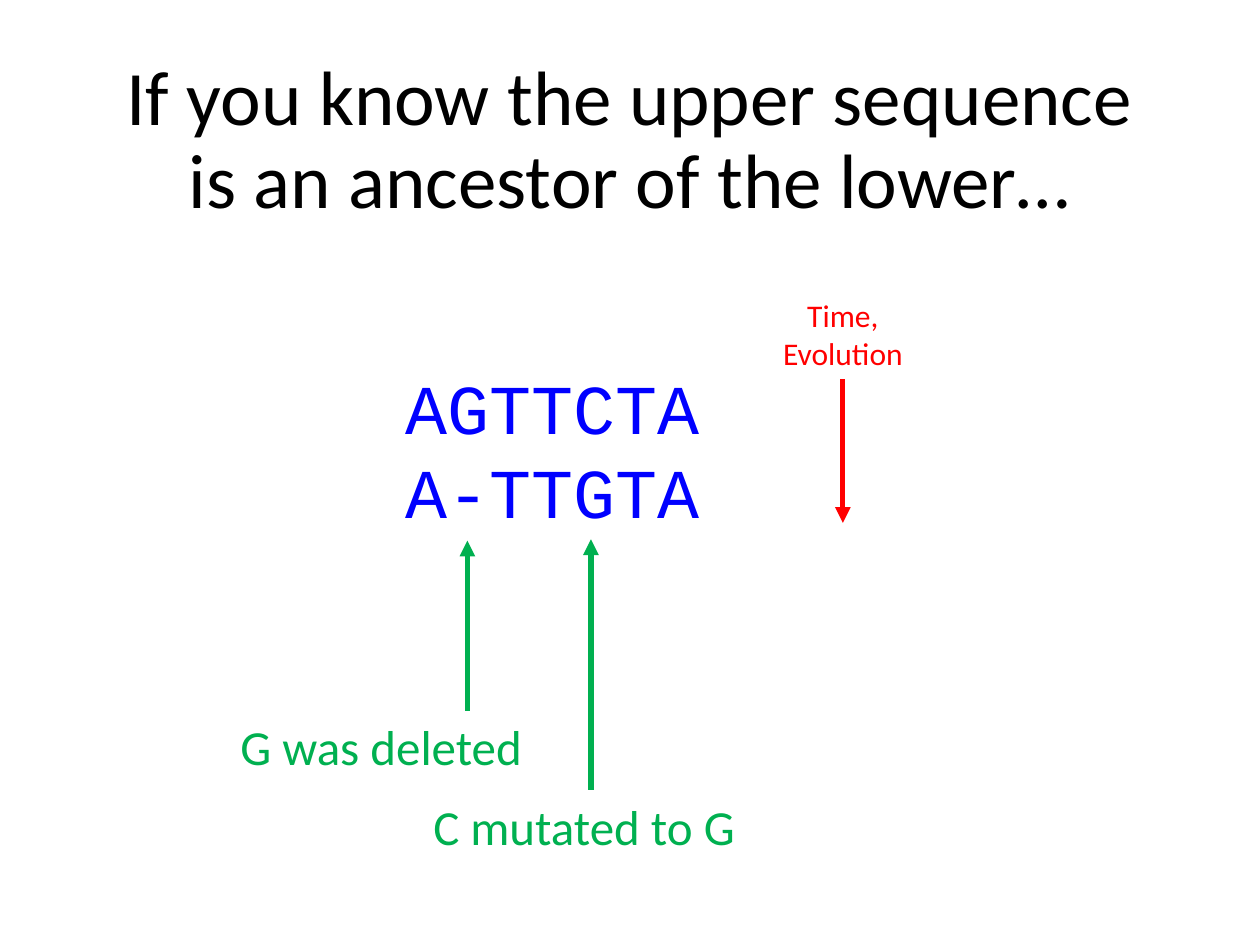
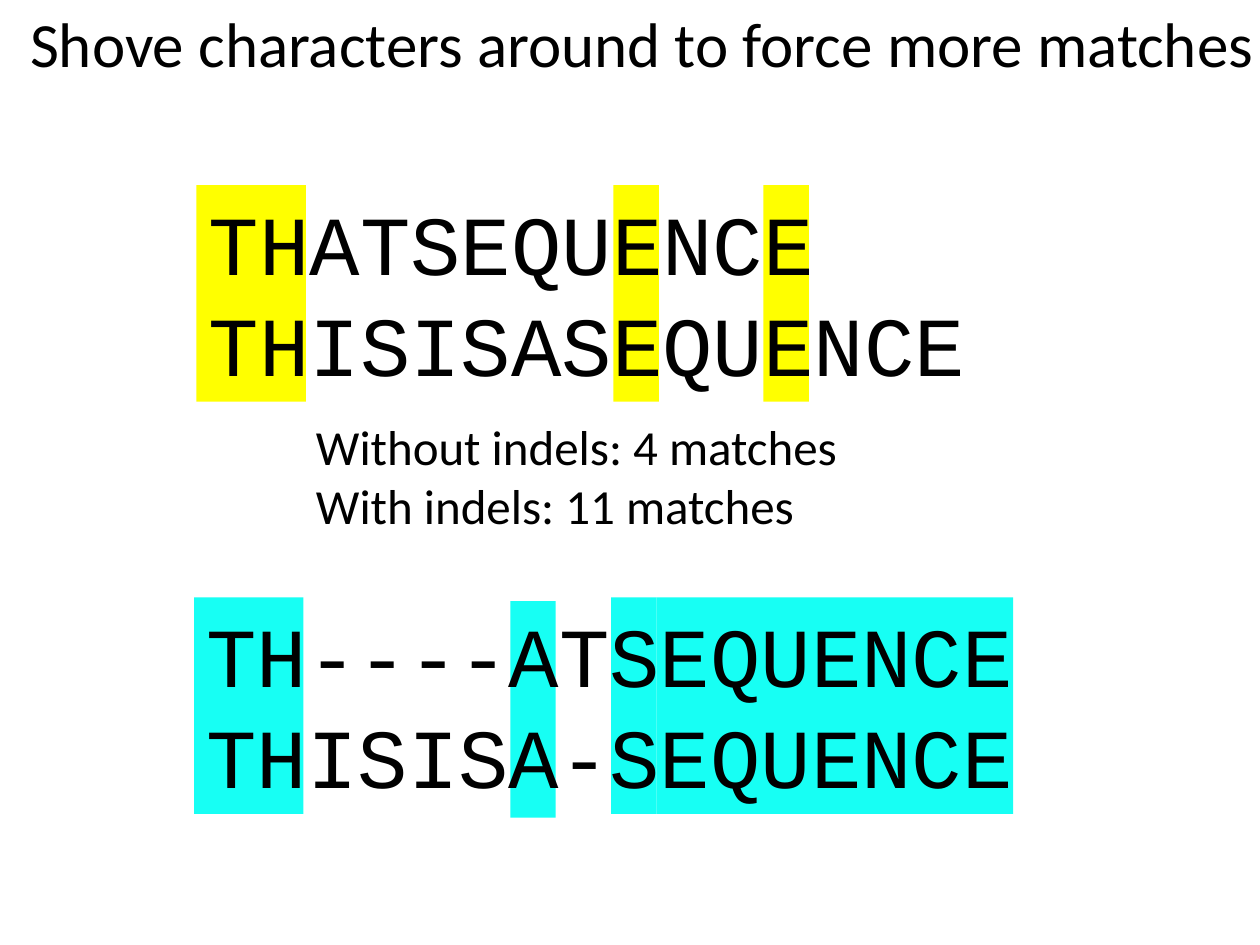
from dataclasses import dataclass

from lxml import etree
from pptx import Presentation
from pptx.dml.color import RGBColor
from pptx.enum import shapes, text
from pptx.oxml import ns
from pptx.util import Pt


@dataclass(frozen=True)
class Theme:
    body: str = "Calibri"
    mono: str = "Courier New"
    black: str = "000000"
    blue: str = "0000FF"
    red: str = "FF0000"
    green: str = "00B050"
    yellow: str = "FFFF00"
    cyan: str = "17FFF4"
    title: int = 44
    small_title: int = 36
    label: int = 28
    note: int = 18
    short_seq: int = 40
    long_seq: int = 48
    line: int = 3


T = Theme()

# Content of slide 1: boxes are left, top, width, height
ANCESTOR_TITLE = "If you know the upper sequence is an ancestor of the lower…"
ANCESTOR_PAIR = ["AGTTCTA", "A-TTGTA"]
TIME_LINES = ["Time,", "Evolution"]
TIME_END_Y = 298.8
CHANGES = [  # label, box, arrow x, arrow tip y
    ("G was deleted", (130.3, 406.1, 177.1, 41), 267.1, 308.9),
    ("C mutated to G", (240.5, 451.4, 188.6, 41), 337.7, 308.2),
]

# Content of slide 2: highlights are offset x, offset y, width within the box
MATCH_TITLE = "Shove characters around to force more matches"
MATCH_COUNTS = ["Without indels: 4 matches", "With indels: 11 matches"]
ALIGNMENTS = [
    (["THATSEQUENCE", "THISISASEQUENCE"], (112.3, 105.8, 450, 123.8), T.yellow,
     [(0, 0, 62.6), (238.3, 0, 25.9), (324, 0, 25.9)]),
    (["TH----ATSEQUENCE", "THISISA-SEQUENCE"], (110.9, 341.3, 478.8, 123.8), T.cyan,
     [(0, 0, 62.6), (180.7, 2.2, 25.9), (238.3, 0, 25.9), (264.2, 0, 203.8)]),
]


def add_text(s, lines, box, size, color=T.black, font=T.body, align=None):
    sp = s.shapes.add_textbox(*map(Pt, box))
    tf = sp.text_frame
    tf.word_wrap = False
    tf.auto_size = text.MSO_AUTO_SIZE.SHAPE_TO_FIT_TEXT
    for i, line in enumerate(lines):
        p = tf.add_paragraph() if i else tf.paragraphs[0]
        p.text = line
        p.alignment = align
        p.font.size = Pt(size)
        p.font.name = font
        p.font.color.rgb = RGBColor.from_string(color)
    return sp


def add_title(s, title, box, size, anchor, align=None):
    tf = add_text(s, [title], box, size, align=align).text_frame
    tf.word_wrap = True
    tf.auto_size = text.MSO_AUTO_SIZE.NONE
    tf.vertical_anchor = anchor
    tf.paragraphs[0].line_spacing = 0.9
    return tf


def add_arrow(s, x, y1, y2, color):
    c = s.shapes.add_connector(shapes.MSO_CONNECTOR.STRAIGHT, Pt(x), Pt(y1), Pt(x), Pt(y2))
    c.line.color.rgb = RGBColor.from_string(color)
    c.line.width = Pt(T.line)
    etree.SubElement(c.line._get_or_add_ln(), ns.qn("a:tailEnd"), type="triangle")
    etree.SubElement(c._element.spPr, ns.qn("a:effectLst"))
    return c


def add_highlight(s, box, color):
    sp = s.shapes.add_shape(shapes.MSO_SHAPE.RECTANGLE, *map(Pt, box))
    sp.shadow.inherit = False
    sp.fill.solid()
    sp.fill.fore_color.rgb = RGBColor.from_string(color)
    sp.line.fill.background()


def ancestor_slide(s):
    add_text(s, ANCESTOR_PAIR, (224.6, 204.5, 184.3, 104.4), T.short_seq, T.blue, T.mono)
    add_title(s, ANCESTOR_TITLE, (49.7, 28.8, 620.6, 104.4), T.title,
              text.MSO_ANCHOR.MIDDLE, text.PP_ALIGN.CENTER)

    # Direction of time
    left, top, width, height = box = (439.9, 165.6, 83.5, 51.1)
    time = add_text(s, TIME_LINES, box, T.note, T.red, align=text.PP_ALIGN.CENTER)
    arrow = add_arrow(s, left + width / 2, top + height, TIME_END_Y, T.red)
    arrow.begin_connect(time, 2)

    # Changes, each arrow rising from the top of its label
    for label, box, x, tip in CHANGES:
        add_arrow(s, x, box[1], tip, T.green)
        add_text(s, [label], box, T.label, T.green)


def matches_slide(s):
    tf = add_title(s, MATCH_TITLE, (10.1, 7.2, 749.5, 79.9), T.small_title, text.MSO_ANCHOR.TOP)
    tf.margin_top = 0
    for pair, box, color, highlights in ALIGNMENTS:
        left, top, _, height = box
        for dx, dy, width in highlights:
            add_highlight(s, (left + dx, top + dy, width, height), color)
        add_text(s, pair, box, T.long_seq, font=T.mono)
    add_text(s, MATCH_COUNTS, (173.5, 234.7, 321.8, 108.7), T.label)


def main():
    prs = Presentation()
    prs.slide_width, prs.slide_height = Pt(720), Pt(540)
    for build in (ancestor_slide, matches_slide):
        build(prs.slides.add_slide(prs.slide_layouts[6]))
    prs.save("out.pptx")


if __name__ == "__main__":
    main()
